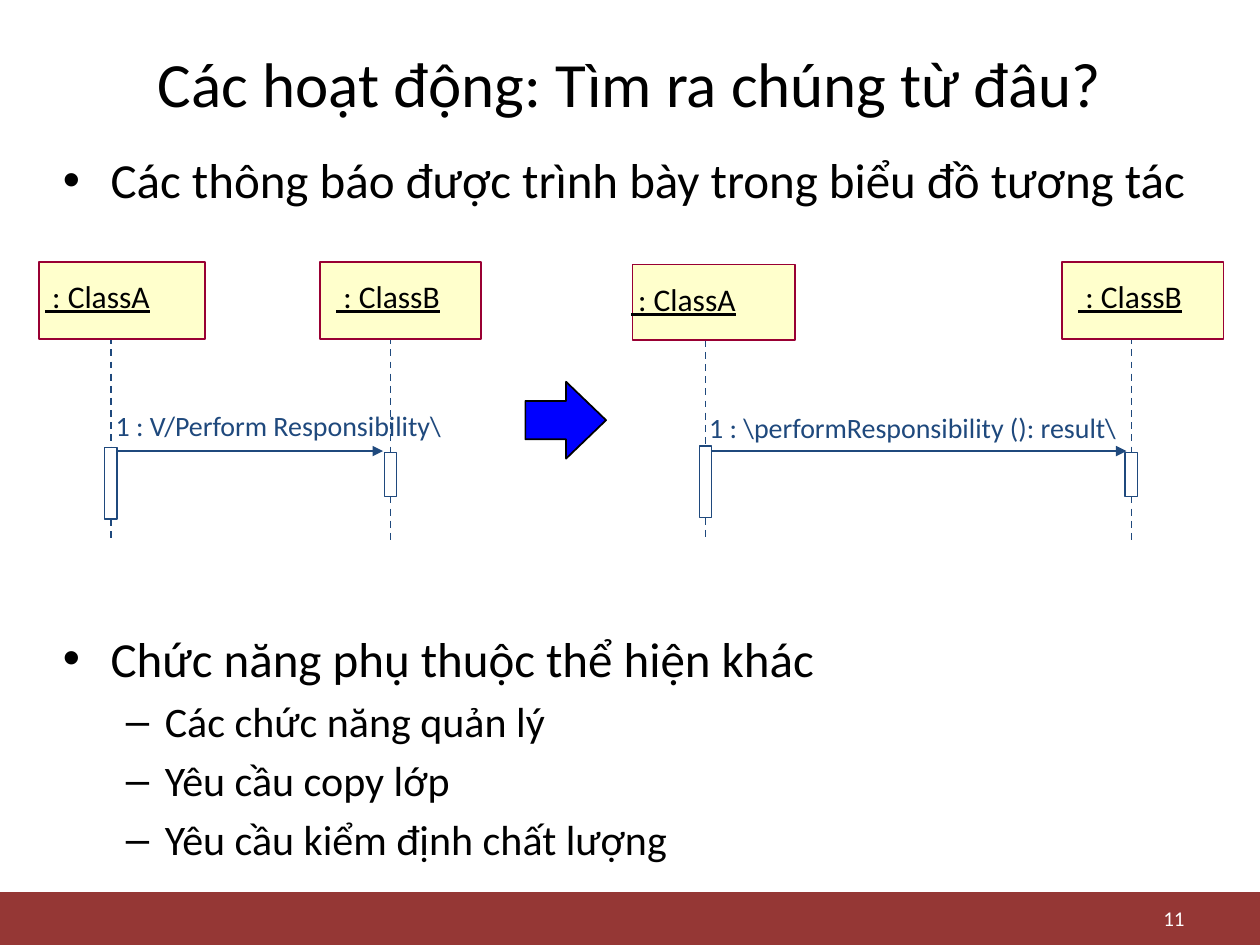
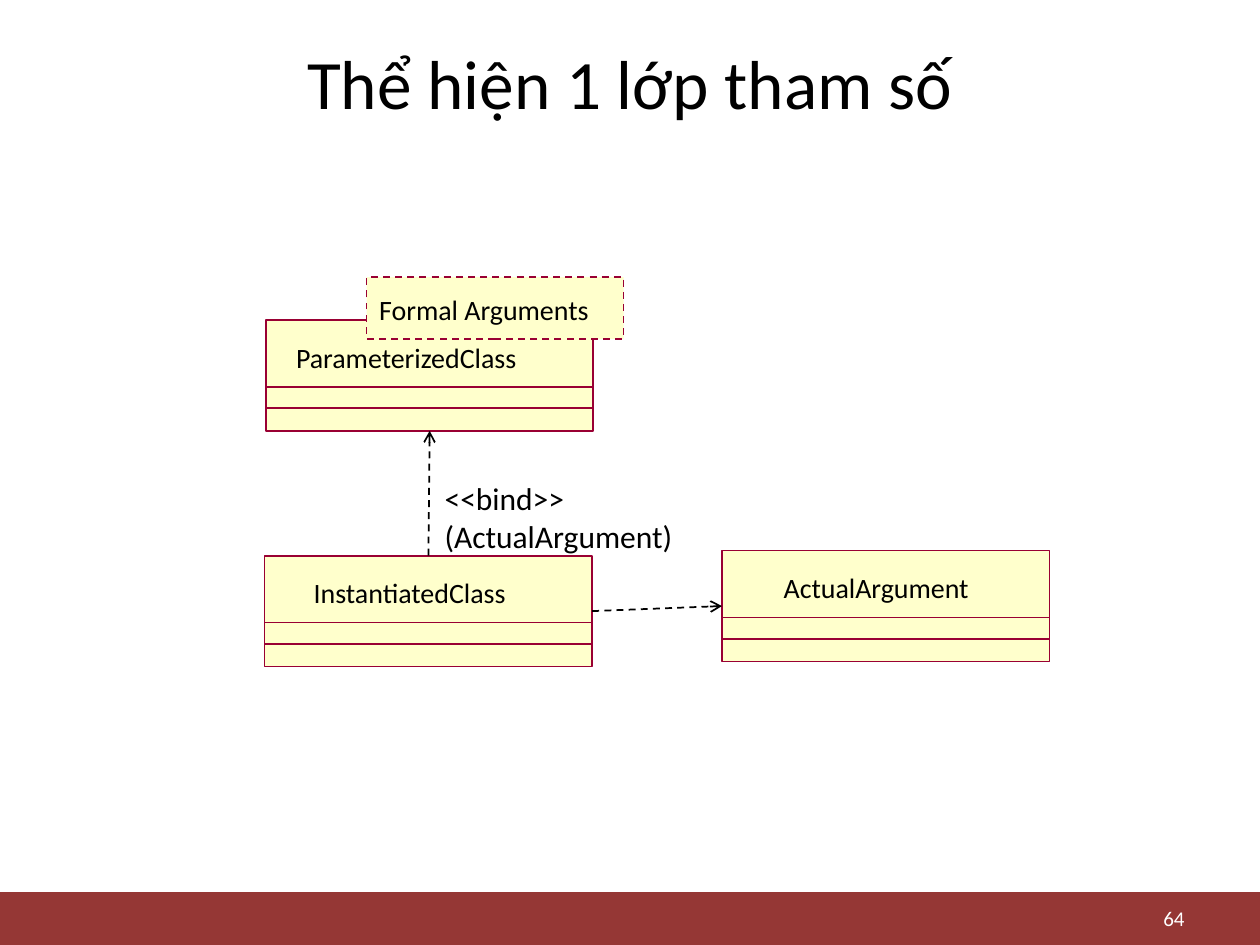
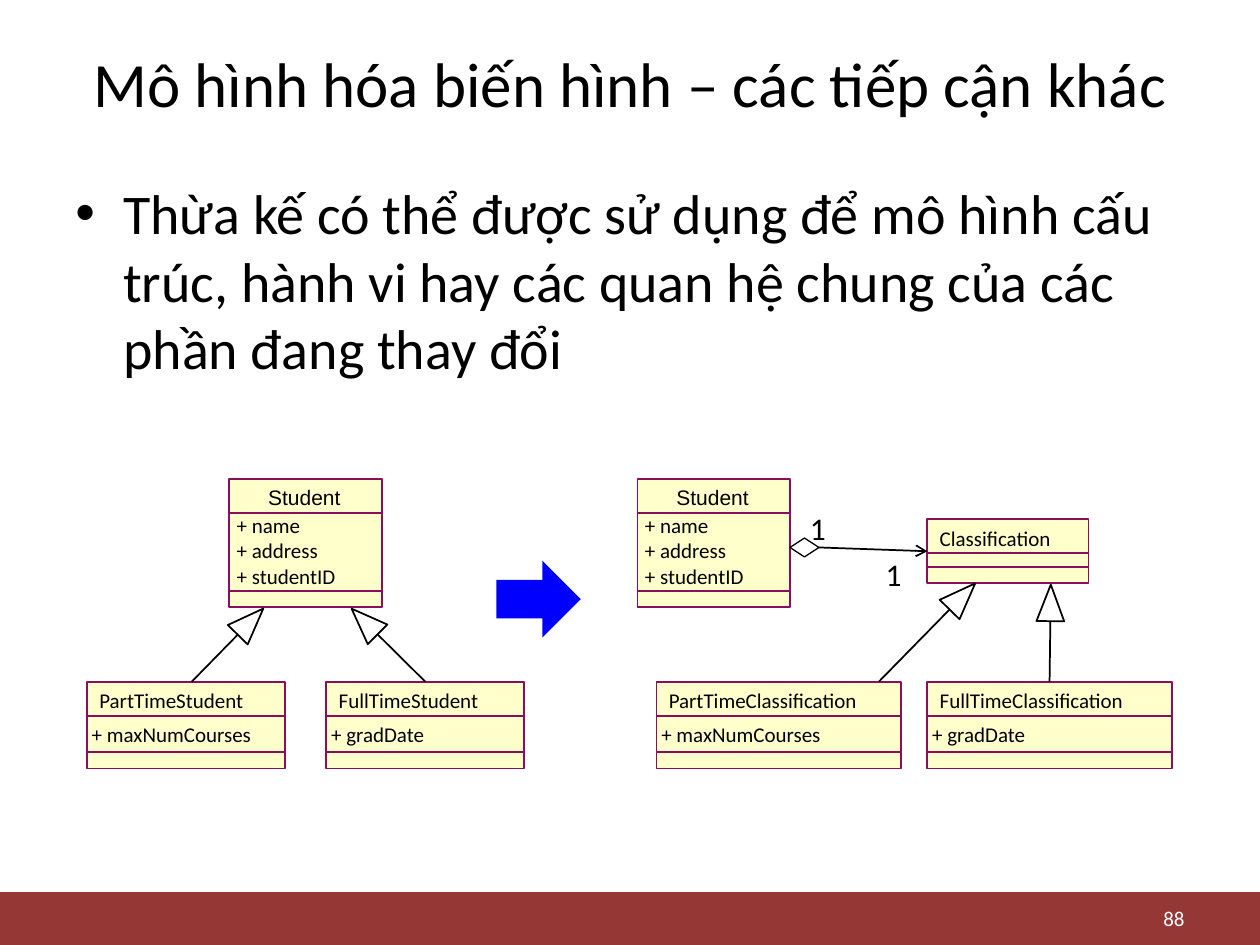
from dataclasses import dataclass
from math import atan2, cos, degrees, sin

from lxml.etree import SubElement
from pptx import Presentation
from pptx.dml.color import RGBColor
from pptx.enum.dml import MSO_LINE
from pptx.enum.shapes import MSO_CONNECTOR, MSO_SHAPE
from pptx.enum.text import MSO_ANCHOR, PP_ALIGN
from pptx.oxml.ns import qn
from pptx.util import Emu, Inches, Pt


@dataclass(frozen=True)
class Theme:
    font: str = "Calibri"
    ink: str = "000000"
    paper: str = "FFFFFF"
    band: str = "953735"
    box: str = "FFFFCC"
    box_line: str = "990033"
    class_line: str = "8A0E5E"
    sequence: str = "1F497D"
    arrow: str = "0000FF"
    title: float = 36
    big_title: float = 39.6
    body: float = 32
    bullet: float = 28
    sub_bullet: float = 24
    label: float = 18
    small_label: float = 16
    detail: float = 12


THEME = Theme()

# The slide is a grid of 100 columns and 75 rows of square cells.
SLIDE_WIDTH, SLIDE_HEIGHT = Inches(10), Inches(7.5)
COLUMNS, ROWS = 100, 75
CELL = SLIDE_WIDTH / COLUMNS
TOP, LEFT, BOTTOM, RIGHT = range(4)


def cells(count):
    return Emu(round(count * CELL))


def colour(code):
    return RGBColor.from_string(code)


# Text
def fill_paragraph(para, text, size, color=THEME.ink, font=THEME.font,
                   align=PP_ALIGN.LEFT, underline=False):
    para.alignment = align
    span = para.add_run()
    span.text = text
    span.font.size = Pt(size)
    span.font.name = font
    span.font.color.rgb = colour(color)
    if underline:
        span.font.underline = True


def text_frame(page, at, inset=True, anchor=MSO_ANCHOR.TOP):
    frame = page.shapes.add_textbox(*map(cells, at)).text_frame
    frame.word_wrap = True
    frame.vertical_anchor = anchor
    if not inset:
        frame.margin_left = frame.margin_right = 0
        frame.margin_top = frame.margin_bottom = 0
    return frame


def write(page, at, text, inset=True, anchor=MSO_ANCHOR.TOP, **style):
    frame = text_frame(page, at, inset, anchor)
    fill_paragraph(frame.paragraphs[0], text, **style)


def write_bullets(page, at, items):
    """Items are (level, text, size)."""
    frame = text_frame(page, at)
    marks = (("•", 0.38, -0.38), ("–", 0.81, -0.31))
    for index, (level, text, size) in enumerate(items):
        para = frame.add_paragraph() if index else frame.paragraphs[0]
        mark, margin, indent = marks[level]
        para.level = level
        properties = para._p.get_or_add_pPr()
        properties.set("marL", str(Inches(margin)))
        properties.set("indent", str(Inches(indent)))
        SubElement(properties, qn("a:buFont")).set("typeface", "Arial")
        SubElement(properties, qn("a:buChar")).set("char", mark)
        if index:
            para.space_before = Pt(0.2 * size)
        fill_paragraph(para, text, size)


# Shapes and lines
def draw(page, kind, at, fill=None, line=None, width=1, dashed=False):
    shape = page.shapes.add_shape(kind, *map(cells, at))
    shape.shadow.inherit = False
    if fill:
        shape.fill.solid()
        shape.fill.fore_color.rgb = colour(fill)
    else:
        shape.fill.background()
    if line:
        shape.line.color.rgb = colour(line)
        shape.line.width = Pt(width)
        if dashed:
            shape.line.dash_style = MSO_LINE.DASH
    else:
        shape.line.fill.background()
    return shape


def connect(page, start, end, color=THEME.ink, dashed=False, head=None):
    """An end is a (column, row) point or a (shape, side) joint."""
    ends = (start, end)
    points = [(0, 0) if hasattr(place, "shape_id") else (place, spot)
              for place, spot in ends]
    link = page.shapes.add_connector(
        MSO_CONNECTOR.STRAIGHT, *(cells(n) for point in points for n in point))
    for (place, spot), join in zip(ends, (link.begin_connect, link.end_connect)):
        if hasattr(place, "shape_id"):
            join(place, spot)
    link.line.color.rgb = colour(color)
    link.line.width = Pt(1)
    if dashed:
        link.line.dash_style = MSO_LINE.DASH
    if head:
        SubElement(link.line._get_or_add_ln(), qn("a:tailEnd")).set("type", head)
    SubElement(link._element.spPr, qn("a:effectLst"))
    return link


def block_arrow(page, at, shaft, head, line=None):
    arrow = draw(page, MSO_SHAPE.RIGHT_ARROW, at, THEME.arrow, line)
    arrow.adjustments[0], arrow.adjustments[1] = shaft, head


# Shared slide frame
def add_page(deck, title, number, title_size=THEME.title):
    page = deck.slides.add_slide(deck.slide_layouts[6])
    draw(page, MSO_SHAPE.RECTANGLE, (0, 70.8, COLUMNS, ROWS - 70.8), THEME.band)
    write(page, (5, 3, 90, 7), title, size=title_size,
          align=PP_ALIGN.CENTER, anchor=MSO_ANCHOR.MIDDLE)
    write(page, (71.7, 71.5, 23.3, 2.7), str(number), size=THEME.detail,
          color=THEME.paper, align=PP_ALIGN.RIGHT, anchor=MSO_ANCHOR.MIDDLE)
    return page


# Sequence diagram
def lifeline(page, name, head, bar, end, label_shift):
    column, row, width, _ = head
    center = bar[0] + bar[2] / 2
    activation = draw(page, MSO_SHAPE.RECTANGLE, bar,
                      line=THEME.sequence, width=0.75)
    style = dict(color=THEME.sequence, dashed=True)
    connect(page, (center, row + 5), (activation, TOP), **style)
    connect(page, (activation, BOTTOM), (center, end), **style)
    draw(page, MSO_SHAPE.RECTANGLE, head, THEME.box, THEME.box_line)
    write(page, (column + label_shift, row + 0.7, width + 1, 4), f" : {name}",
          size=THEME.label, underline=True)


def message(page, text, start, end, label_row):
    row = 35.8
    connect(page, (start, row), (end, row), THEME.sequence, head="triangle")
    write(page, (start - 1.1, label_row, end - start + 8, 3.7), text,
          size=THEME.small_label, color=THEME.sequence)


# Class diagram
def class_box(page, at, name, dividers, name_shift=(0, 0), attributes=(),
              attribute_shift=(-0.6, 2.7), line=THEME.class_line,
              size=THEME.detail, font=THEME.font, inset=True):
    column, row, width, _ = at
    box = draw(page, MSO_SHAPE.RECTANGLE, at, THEME.box, line)
    for divider in dividers:
        connect(page, (column, row + divider),
                (column + width, row + divider), line)
    write(page, (column + name_shift[0], row + name_shift[1], width, 3),
          name, size=size, font=font, inset=inset)
    for index, attribute in enumerate(attributes):
        write(page, (column + attribute_shift[0],
                     row + attribute_shift[1] + 2 * index, width + 1, 3),
              attribute, size=size)
    return box


def plain_class(page, column, row, name, shift):
    return class_box(page, (column, row, 26, 8.8), name, (5.3, 7),
                     (shift, 1.6), line=THEME.box_line,
                     size=THEME.small_label, inset=False)


def student_class(page, column):
    return class_box(page, (column, 38, 12.1, 10.2), "Student", (2.7, 8.9), (2.1, 0),
                     ("+ name", "+ address", "+ studentID"), (-0.4, 2.2),
                     font="Arial")


def subclass(page, column, width, name, attribute, tip, share):
    """A subclass whose line leaves its top at a share of the width."""
    row = 54.1
    box = class_box(page, (column, row, width, 6.9), name, (2.7, 5.6),
                    attributes=(attribute,))
    start_column = column + share * width
    angle = atan2(row - tip[1], start_column - tip[0])
    wide, high = 2.2, 2.9

    def beyond_tip(distance):
        return tip[0] + distance * cos(angle), tip[1] + distance * sin(angle)

    middle = beyond_tip(high / 2)
    start = (box, TOP) if share == 0.5 else (start_column, row)
    connect(page, start, beyond_tip(high))
    triangle = draw(page, MSO_SHAPE.ISOSCELES_TRIANGLE,
                    (middle[0] - wide / 2, middle[1] - high / 2, wide, high),
                    line=THEME.ink)
    triangle.rotation = degrees(angle) - 90


# Slides
def operations_page(deck):
    page = add_page(deck, "Các hoạt động: Tìm ra chúng từ đâu?", 11)
    write_bullets(page, (4, 11.4, 92.8, 6), [
        (0, "Các thông báo được trình bày trong biểu đồ tương tác", THEME.bullet)])
    write_bullets(page, (4, 49.4, 92.8, 20), [
        (0, "Chức năng phụ thuộc thể hiện khác", THEME.bullet),
        (1, "Các chức năng quản lý", THEME.sub_bullet),
        (1, "Yêu cầu copy lớp", THEME.sub_bullet),
        (1, "Yêu cầu kiểm định chất lượng", THEME.sub_bullet)])
    lifeline(page, "ClassA", (3.1, 20.8, 13.2, 6.1), (8.3, 35.5, 1, 5.7), 43, -0.5)
    lifeline(page, "ClassB", (25.4, 20.8, 12.8, 6.1), (30.5, 35.9, 1, 3.5), 43, 0.3)
    message(page, "1 : V/Perform Responsibility\\", 9.3, 30.4, 31.9)
    block_arrow(page, (41.7, 30.3, 6.4, 6.1), 0.5, 0.52, THEME.ink)
    lifeline(page, "ClassA", (50.2, 21, 12.9, 6), (55.5, 35.4, 1, 5.7), 43, -1.1)
    lifeline(page, "ClassB", (84.3, 20.8, 12.8, 6.1), (89.3, 35.9, 1, 3.5), 43, 0.3)
    message(page, "1 : \\performResponsibility (): result\\", 56.4, 89.4, 32.1)


def parameter_page(deck):
    page = add_page(deck, "Thể hiện 1 lớp tham số", 64, THEME.big_title)
    template = plain_class(page, 21.1, 25.4, "ParameterizedClass", 2.4)
    draw(page, MSO_SHAPE.RECTANGLE, (29.1, 22, 20.4, 4.9), THEME.box,
         THEME.box_line, dashed=True)
    write(page, (30.1, 23.2, 19.1, 2.7), "Formal Arguments",
          size=THEME.small_label, inset=False)
    instance = plain_class(page, 21, 44.1, "InstantiatedClass", 3.9)
    argument = plain_class(page, 57.3, 43.7, "ActualArgument", 4.9)
    connect(page, (instance, TOP), (template, BOTTOM), dashed=True, head="arrow")
    connect(page, (instance, RIGHT), (argument, LEFT), dashed=True, head="arrow")
    write(page, (34.3, 37.5, 26.2, 7.1), "<<bind>> (ActualArgument)",
          size=THEME.label)


def polymorphism_page(deck):
    page = add_page(deck, "Mô hình hóa biến hình – các tiếp cận khác", 88)
    write_bullets(page, (5, 13.7, 90, 20), [
        (0, "Thừa kế có thể được sử dụng để mô hình cấu trúc, hành vi hay "
            "các quan hệ chung của các phần đang thay đổi", THEME.body)])

    # Inheritance straight from the student
    student_class(page, 18.2)
    subclass(page, 6.9, 15.7, "PartTimeStudent", "+ maxNumCourses", (20.9, 48.3), 0.53)
    subclass(page, 25.9, 15.7, "FullTimeStudent", "+ gradDate", (27.9, 48.3), 0.5)
    block_arrow(page, (39.4, 44.5, 6.7, 6.1), 0.5, 0.5)

    # Inheritance moved to a classification
    student_class(page, 50.6)
    classification = class_box(page, (73.6, 41.2, 12.8, 5.1), "Classification",
                               (2.7, 3.8))
    subclass(page, 52.1, 19.4, "PartTimeClassification", "+ maxNumCourses",
             (77.4, 46.3), 0.91)
    subclass(page, 73.6, 19.4, "FullTimeClassification", "+ gradDate",
             (83.4, 46.4), 0.5)
    diamond = draw(page, MSO_SHAPE.DIAMOND, (62.7, 42.7, 2.3, 1.5),
                   line=THEME.ink, width=0.75)
    connect(page, (diamond, RIGHT), (classification, LEFT), head="arrow")
    for column, row in ((63.3, 39.9), (69.3, 43.6)):
        write(page, (column, row, 3.1, 4), "1", size=THEME.label)


def main():
    deck = Presentation()
    deck.slide_width, deck.slide_height = SLIDE_WIDTH, SLIDE_HEIGHT
    operations_page(deck)
    parameter_page(deck)
    polymorphism_page(deck)
    deck.save("out.pptx")


if __name__ == "__main__":
    main()
